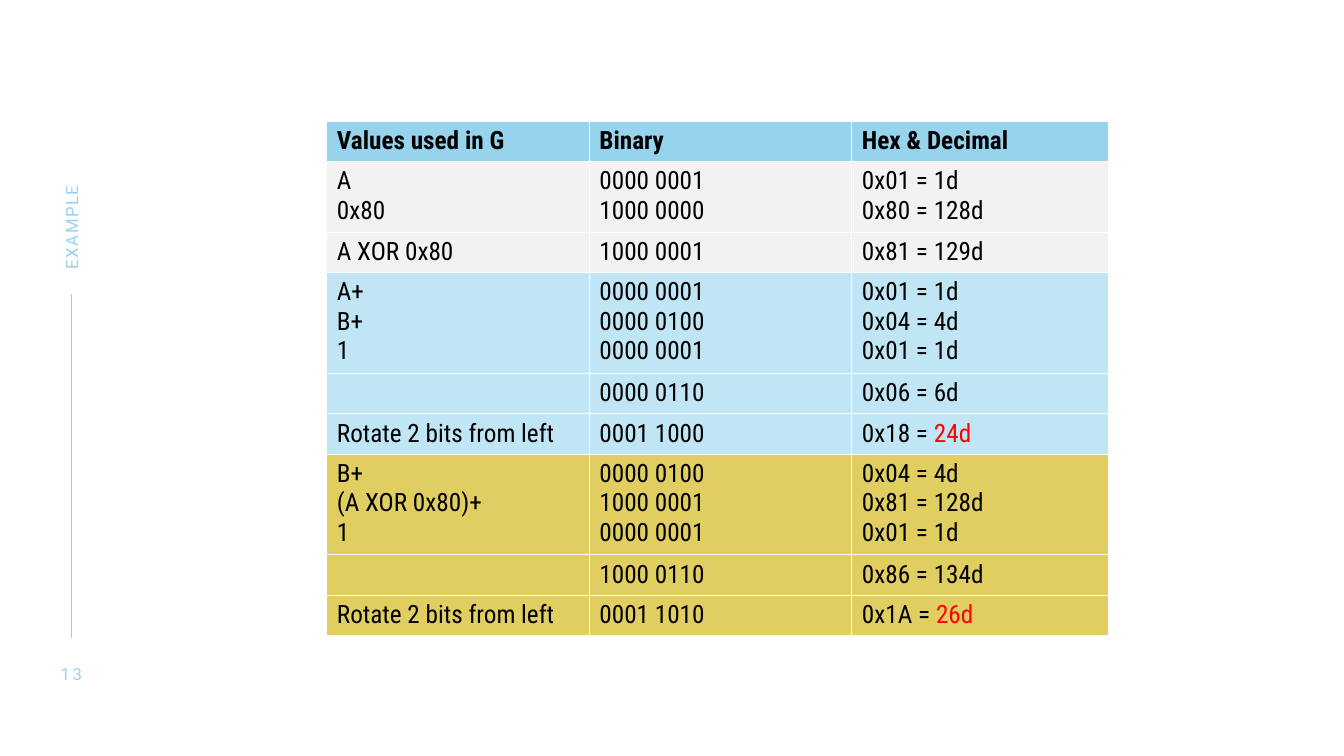
from lxml import etree
from pptx import Presentation
from pptx.dml.color import RGBColor
from pptx.enum import shapes, text
from pptx.oxml import ns
from pptx.util import Pt

COLORS = {
    "accent": "96D3ED",
    "grey": "F2F2F2",
    "blue": "C0E5F4",
    "gold": "E0CE61",
    "black": "000000",
    "red": "FF0000",
    "white": "FFFFFF",
}
COLUMN_WIDTHS = (187.5, 187.5, 183.5)
LINE_HEIGHT, CELL_PADDING = 21.1, 7.2

# Fill, then the three cells; "|" sets off a result shown in red
ROWS = [
    ("accent", "Values used in G", "Binary", "Hex & Decimal"),
    ("grey", "A\n0x80", "0000 0001\n1000 0000", "0x01 = 1d\n0x80 = 128d"),
    ("grey", "A XOR 0x80", "1000 0001", "0x81 = 129d"),
    ("blue", "A+\nB+\n1", "0000 0001\n0000 0100\n0000 0001",
     "0x01 = 1d\n0x04 = 4d\n0x01 = 1d"),
    ("blue", "", "0000 0110", "0x06 = 6d"),
    ("blue", "Rotate 2 bits from left", "0001 1000", "0x18 = |24d"),
    ("gold", "B+\n(A XOR 0x80)+\n1", "0000 0100\n1000 0001\n0000 0001",
     "0x04 = 4d\n0x81 = 128d\n0x01 = 1d"),
    ("gold", "", "1000 0110", "0x86 = 134d"),
    ("gold", "Rotate 2 bits from left", "0001 1010", "0x1A = |26d"),
]


def rgb(name):
    return RGBColor.from_string(COLORS[name])


def style_font(font, face, size, color, bold=False):
    font.name, font.size, font.bold = face, Pt(size), bold
    font.color.rgb = rgb(color)


def add_side_rule(slide, x, top, bottom):
    rule = slide.shapes.add_connector(
        shapes.MSO_CONNECTOR.STRAIGHT, Pt(x), Pt(top), Pt(x), Pt(bottom))
    rule.line.color.rgb = rgb("accent")
    rule.line.width = Pt(1)
    etree.SubElement(rule._element.spPr, ns.qn("a:effectLst"))


def add_label(slide, wording, box, align, spacing, rotation=0):
    label = slide.shapes.add_textbox(*map(Pt, box))
    label.rotation = rotation
    frame = label.text_frame
    frame.word_wrap = True
    frame.vertical_anchor = text.MSO_ANCHOR.MIDDLE
    frame.margin_left = frame.margin_right = 0
    frame.margin_top = frame.margin_bottom = 0
    paragraph = frame.paragraphs[0]
    paragraph.alignment = align
    style_font(paragraph.font, "Roboto", 12, "accent")
    run = paragraph.add_run()
    run.text = wording
    run.font._element.set("spc", str(spacing * 100))


def add_borders(cell):
    properties = cell._tc.get_or_add_tcPr()
    for side in ("lnL", "lnR", "lnT", "lnB"):
        border = etree.SubElement(properties, ns.qn(f"a:{side}"), w=str(Pt(0.8)))
        fill = etree.SubElement(border, ns.qn("a:solidFill"))
        etree.SubElement(fill, ns.qn("a:srgbClr"), val=COLORS["white"])


def fill_cell(cell, wording, fill, bold):
    add_borders(cell)
    cell.fill.solid()
    cell.fill.fore_color.rgb = rgb(fill)
    frame = cell.text_frame
    for index, line in enumerate(wording.split("\n")):
        paragraph = frame.add_paragraph() if index else frame.paragraphs[0]
        style_font(paragraph.font, "Roboto Condensed", 18, "black", bold)
        plain, _, result = line.partition("|")
        if plain:
            paragraph.add_run().text = plain
        if result:
            run = paragraph.add_run()
            run.text = result
            run.font.color.rgb = rgb("red")


def add_values_table(slide, left, top):
    heights = [CELL_PADDING + LINE_HEIGHT * (binary.count("\n") + 1)
               for _, _, binary, _ in ROWS]
    table = slide.shapes.add_table(
        len(ROWS), len(COLUMN_WIDTHS), Pt(left), Pt(top),
        Pt(sum(COLUMN_WIDTHS)), Pt(sum(heights))).table
    table.first_row = table.horz_banding = False
    for column, width in zip(table.columns, COLUMN_WIDTHS):
        column.width = Pt(width)
    for index, (fill, *wordings) in enumerate(ROWS):
        table.rows[index].height = Pt(heights[index])
        for cell, wording in zip(table.rows[index].cells, wordings):
            fill_cell(cell, wording, fill, bold=index == 0)


def main():
    deck = Presentation()
    deck.slide_width, deck.slide_height = Pt(960), Pt(540)
    slide = deck.slides.add_slide(deck.slide_layouts[6])

    # Side strip: section title, rule, page number
    add_side_rule(slide, 51, 210, 455.75)
    add_label(slide, "13", (33, 474, 36, 14.5), text.PP_ALIGN.CENTER, 2)
    add_label(slide, "EXAMPLE", (-19.25, 114.5, 140.5, 15),
              text.PP_ALIGN.LEFT, 1, rotation=270)

    # Worked values
    add_values_table(slide, 233.5, 86.5)

    deck.save("out.pptx")


if __name__ == "__main__":
    main()
